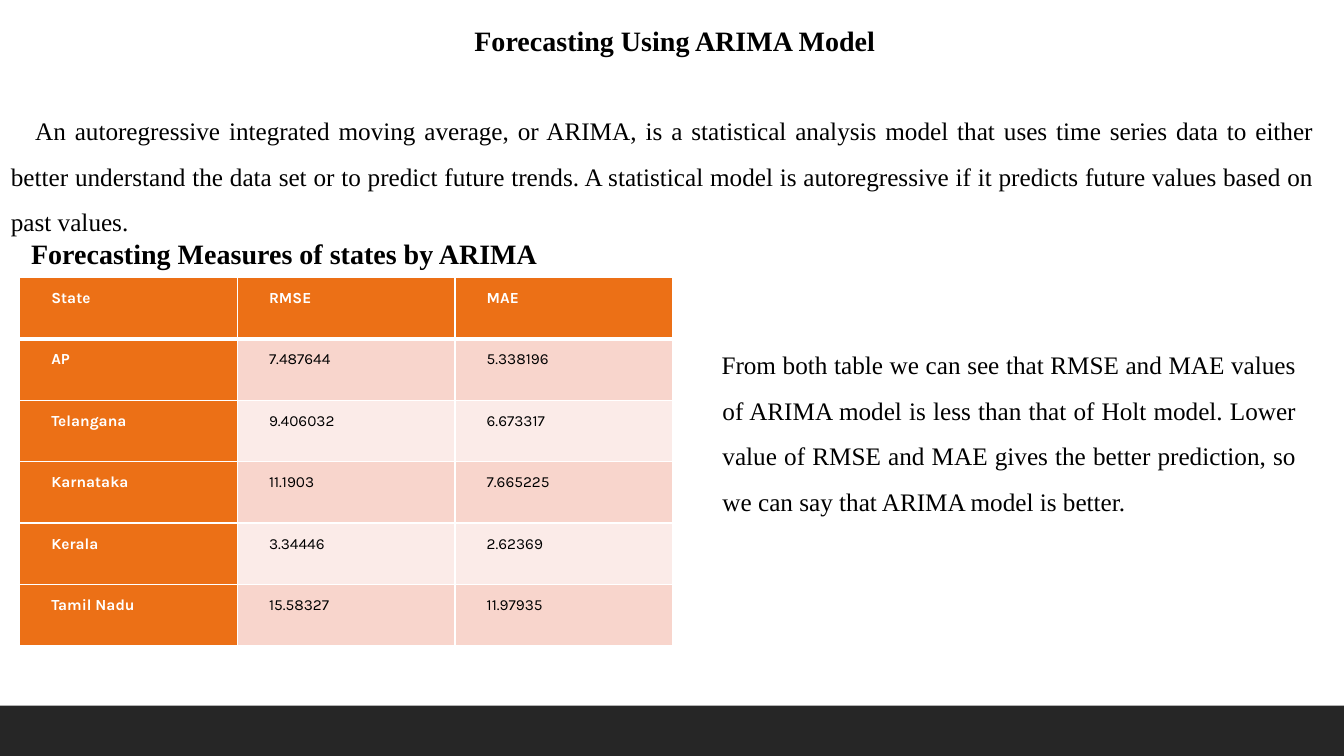
from dataclasses import dataclass

import lxml.etree
import pptx
import pptx.dml.color
import pptx.enum.shapes
import pptx.enum.text
import pptx.oxml.ns
import pptx.util

Pt = pptx.util.Pt
ALIGN = pptx.enum.text.PP_ALIGN


@dataclass(frozen=True)
class Theme:
    """Colours, fonts and type sizes of the slide."""
    ink: str = "000000"
    paper: str = "FFFFFF"
    footer: str = "262626"
    accent: str = "EC7016"
    bands: tuple = ("F8D5CC", "FBEBE8")
    prose_font: str = "Times New Roman"
    table_font: str = "Karla"
    heading_size: float = 20
    body_size: float = 18
    table_size: float = 11


THEME = Theme()
HANGING = (18, -0.7)
INDENTED = (0.7, 17.3)

TITLE = "Forecasting Using ARIMA Model"
DEFINITION = (
    "An autoregressive integrated moving average, or ARIMA, is a statistical analysis model "
    "that uses time series data to either better understand the data set or to predict future "
    "trends. A statistical model is autoregressive if it predicts future values based on past values."
)
TABLE_HEADING = "Forecasting Measures of states by ARIMA"
MEASURES = [
    ("State", "RMSE", "MAE"),
    ("AP", "7.487644", "5.338196"),
    ("Telangana", "9.406032", "6.673317"),
    ("Karnataka", "11.1903", "7.665225"),
    ("Kerala", "3.34446", "2.62369"),
    ("Tamil Nadu", "15.58327", "11.97935"),
]
CONCLUSION = (
    "From both table we can see that RMSE and MAE values of ARIMA model is less than that of "
    "Holt model. Lower value of RMSE and MAE gives the better prediction, so we can say that "
    "ARIMA model is better."
)


def rgb(code):
    """Return the colour for a hex code."""
    return pptx.dml.color.RGBColor.from_string(code)


def style_runs(paragraph, size, font=THEME.prose_font, color=THEME.ink, bold=False):
    """Format every run of a paragraph."""
    for run in paragraph.runs:
        run.font.name = font
        run.font.size = Pt(size)
        run.font.bold = bold
        run.font.color.rgb = rgb(color)


def space_paragraph(paragraph, align, indents, after):
    """Set alignment, left and first-line indents, and wide line spacing."""
    margin, first_line = indents
    properties = paragraph._p.get_or_add_pPr()
    properties.set("marL", str(Pt(margin)))
    properties.set("indent", str(Pt(first_line)))
    paragraph.alignment = align
    paragraph.line_spacing = 1.5
    paragraph.space_after = Pt(after)


def add_frame(slide, box, wrap=True):
    """Add a text box at the given box and return its text frame."""
    frame = slide.shapes.add_textbox(*map(Pt, box)).text_frame
    frame.word_wrap = wrap
    return frame


def add_footer(slide, box):
    """Draw the dark band along the bottom edge."""
    band = slide.shapes.add_shape(pptx.enum.shapes.MSO_SHAPE.RECTANGLE, *map(Pt, box))
    band.shadow.inherit = False
    band.fill.solid()
    band.fill.fore_color.rgb = rgb(THEME.footer)
    band.line.fill.background()


def add_introduction(slide, box):
    """Write the slide title and the definition below it."""
    frame = add_frame(slide, box)
    title = frame.paragraphs[0]
    title.text = TITLE
    space_paragraph(title, ALIGN.CENTER, INDENTED, 30.8)
    style_runs(title, THEME.heading_size, bold=True)
    definition = frame.add_paragraph()
    definition.text = DEFINITION
    space_paragraph(definition, ALIGN.JUSTIFY, INDENTED, 30.8)
    style_runs(definition, THEME.body_size)


def add_table_heading(slide, box):
    """Write the heading above the table."""
    frame = add_frame(slide, box, wrap=False)
    frame.vertical_anchor = pptx.enum.text.MSO_ANCHOR.MIDDLE
    heading = frame.paragraphs[0]
    heading.text = TABLE_HEADING
    heading.alignment = ALIGN.CENTER
    style_runs(heading, THEME.heading_size, bold=True)


def add_conclusion(slide, box):
    """Write the conclusion beside the table."""
    conclusion = add_frame(slide, box).paragraphs[0]
    conclusion.text = CONCLUSION
    space_paragraph(conclusion, ALIGN.JUSTIFY, HANGING, 0.1)
    style_runs(conclusion, THEME.body_size)


def set_borders(cell, widths):
    """Give a cell paper-coloured borders, with a width for each side."""
    qn = pptx.oxml.ns.qn
    properties = cell._tc.get_or_add_tcPr()
    for side, width in widths.items():
        border = lxml.etree.SubElement(properties, qn(f"a:ln{side}"), w=str(Pt(width)))
        fill = lxml.etree.SubElement(border, qn("a:solidFill"))
        lxml.etree.SubElement(fill, qn("a:srgbClr"), val=THEME.paper)


def add_measures(slide, box):
    """Build the table of error measures by state."""
    left, top, width, height = box
    row_count, column_count = len(MEASURES), len(MEASURES[0])
    table = slide.shapes.add_table(
        row_count, column_count, Pt(left), Pt(top), Pt(width), Pt(height)).table
    for column in table.columns:
        column.width = Pt(width / column_count)
    for row_index, measures in enumerate(MEASURES):
        table.rows[row_index].height = Pt(height / row_count)
        for column_index, measure in enumerate(measures):
            cell = table.cell(row_index, column_index)
            is_label = row_index == 0 or column_index == 0
            set_borders(cell, {
                "L": 1, "R": 1,
                "T": 3 if row_index == 1 else 1,
                "B": 3 if row_index == 0 else 1,
            })
            cell.fill.solid()
            cell.fill.fore_color.rgb = rgb(
                THEME.accent if is_label else THEME.bands[(row_index - 1) % 2])
            cell.margin_left = cell.margin_right = Pt(5.4)
            cell.margin_top, cell.margin_bottom = Pt(2.2), Pt(0)
            entry = cell.text_frame.paragraphs[0]
            entry.text = measure
            space_paragraph(entry, ALIGN.JUSTIFY, HANGING, 0.1)
            style_runs(entry, THEME.table_size, THEME.table_font,
                       THEME.paper if is_label else THEME.ink, is_label)


def main():
    """Build and save the slide."""
    deck = pptx.Presentation()
    deck.slide_width, deck.slide_height = Pt(960), Pt(540)
    slide = deck.slides.add_slide(deck.slide_layouts[6])
    add_footer(slide, (0, 504, 960, 36))
    add_introduction(slide, (0, 1.5, 946, 169))
    add_measures(slide, (14, 198, 466.5, 263.5))
    add_table_heading(slide, (13.7, 165, 378.7, 31.5))
    add_conclusion(slide, (491, 235.5, 442, 134.6))
    deck.save("out.pptx")


if __name__ == "__main__":
    main()
